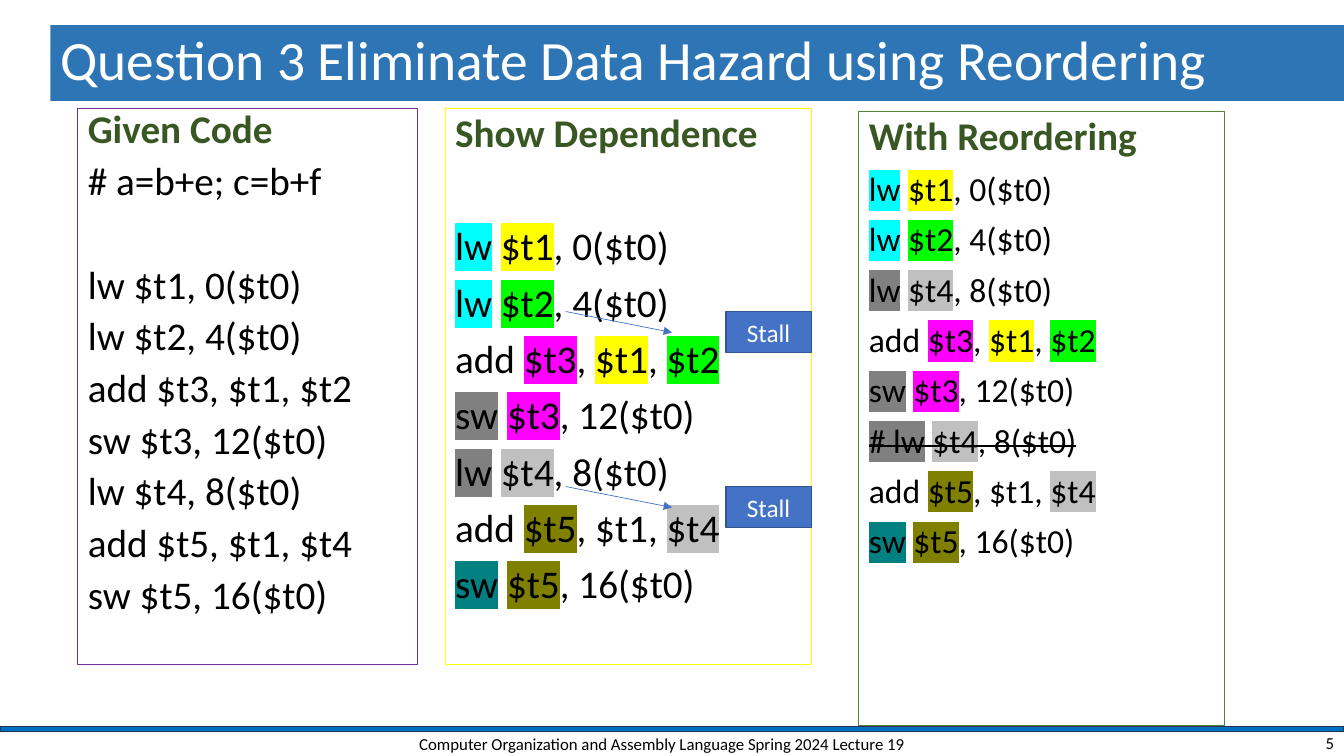
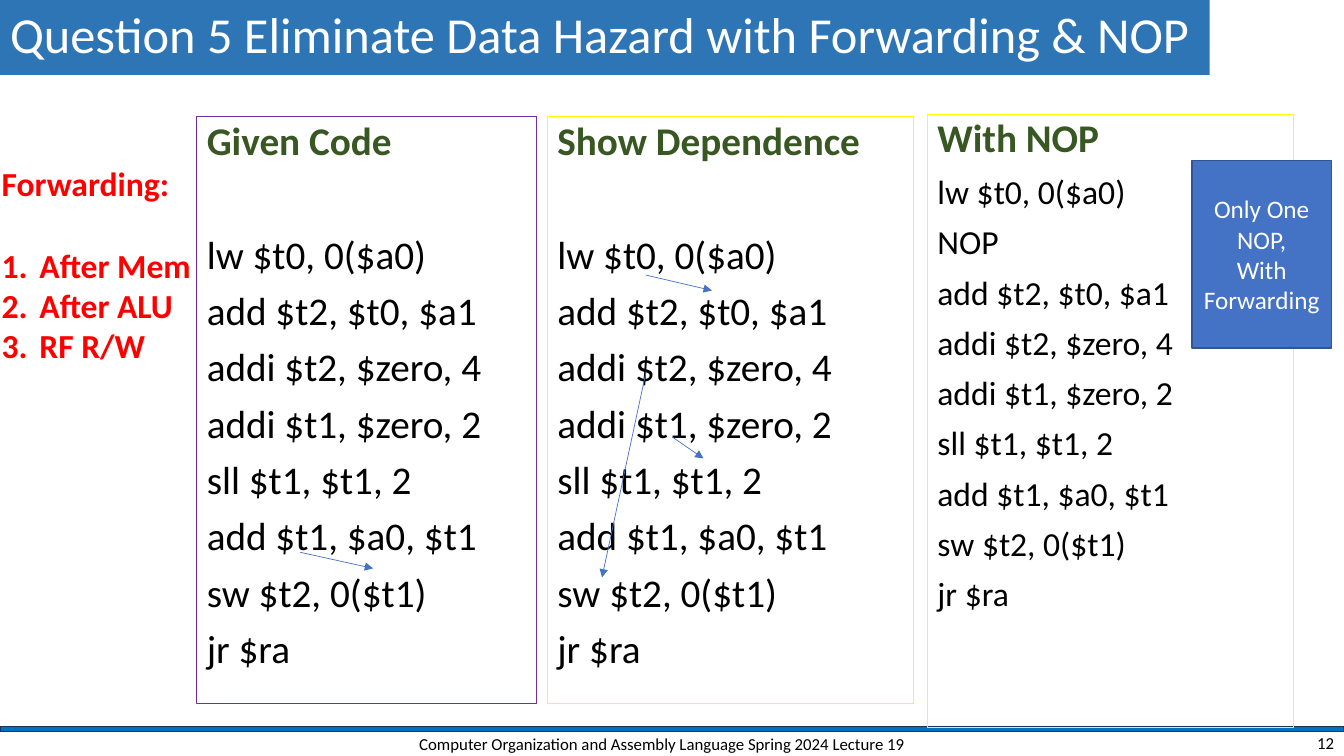
from lxml import etree
from pptx import Presentation
from pptx.dml.color import RGBColor
from pptx.enum.shapes import MSO_CONNECTOR, MSO_SHAPE
from pptx.enum.text import MSO_ANCHOR, MSO_AUTO_SIZE, PP_ALIGN
from pptx.oxml.ns import qn
from pptx.util import Pt

RECTANGLE = MSO_SHAPE.RECTANGLE
STRAIGHT = MSO_CONNECTOR.STRAIGHT
TOP, MIDDLE = MSO_ANCHOR.TOP, MSO_ANCHOR.MIDDLE
LEFT, CENTER, RIGHT = PP_ALIGN.LEFT, PP_ALIGN.CENTER, PP_ALIGN.RIGHT
NO_AUTOFIT = MSO_AUTO_SIZE.NONE

FONT = "Calibri"
WIDTH, HEIGHT = 960, 540
FOOTER = "Computer Organization and Assembly Language Spring 2024 Lecture 19"
COLORS = {
    "title_fill": "2E75B6", "band": "0070C0", "band_line": "1E3256",
    "accent": "4472C4", "accent_line": "325491", "heading": "385723",
    "purple": "7030A0", "panel_green": "548235", "red": "FF0000",
    "black": "000000", "white": "FFFFFF", "yellow": "FFFF00",
    "cyan": "00FFFF", "lime": "00FF00", "magenta": "FF00FF",
    "gray": "808080", "silver": "C0C0C0", "olive": "808000", "teal": "008080",
}

LOAD_T1 = [("lw", "cyan"), " ", ("$t1", "yellow"), ", 0($t0)"]
LOAD_T2 = [("lw", "cyan"), " ", ("$t2", "lime"), ", 4($t0)"]
ADD_T3 = ["add ", ("$t3", "magenta"), ", ", ("$t1", "yellow"), ", ", ("$t2", "lime")]
STORE_T3 = [("sw", "gray"), " ", ("$t3", "magenta"), ", 12($t0)"]
LOAD_T4 = [("lw", "gray"), " ", ("$t4", "silver"), ", 8($t0)"]
MOVED_LOAD = [("# lw", "gray")] + LOAD_T4[1:]
ADD_T5 = ["add ", ("$t5", "olive"), ", $t1, ", ("$t4", "silver")]
STORE_T5 = [("sw", "teal"), " ", ("$t5", "olive"), ", 16($t0)"]

SUM_CODE = [
    "# a=b+e; c=b+f", "lw $t1, 0($t0)", "lw $t2, 4($t0)", "add $t3, $t1, $t2",
    "sw $t3, 12($t0)", "lw $t4, 8($t0)", "add $t5, $t1, $t4", "sw $t5, 16($t0)",
]
ARRAY_CODE = [
    "lw $t0, 0($a0)", "add $t2, $t0, $a1", "addi $t2, $zero, 4", "addi $t1, $zero, 2",
    "sll $t1, $t1, 2", "add $t1, $a0, $t1", "sw $t2, 0($t1)", "jr $ra",
]


def rgb(color):
    return RGBColor.from_string(COLORS[color])


def points(box):
    return [Pt(length) for length in box]


def place(shape, box):
    shape.left, shape.top, shape.width, shape.height = points(box)


def paint(shape, fill=None, line=None, weight=1):
    if fill:
        shape.fill.solid()
        shape.fill.fore_color.rgb = rgb(fill)
    else:
        shape.fill.background()
    if line:
        shape.line.color.rgb = rgb(line)
        shape.line.width = Pt(weight)
    else:
        shape.line.fill.background()


def prepare_frame(shape, anchor):
    frame = shape.text_frame
    frame.word_wrap = True
    frame.auto_size = NO_AUTOFIT
    frame.vertical_anchor = anchor
    return frame


def add_run(paragraph, text, size, color, bold=False, highlight=None, struck=False):
    run = paragraph.add_run()
    run.text = text
    run.font.size = Pt(size)
    run.font.bold = bold
    run.font.color.rgb = rgb(color)
    properties = run._r.get_or_add_rPr()
    if struck:
        properties.set("strike", "sngStrike")
    if highlight:
        marker = etree.SubElement(properties, qn("a:highlight"))
        etree.SubElement(marker, qn("a:srgbClr"), val=COLORS[highlight])
    run.font.name = FONT


def add_paragraph(frame, first, align=LEFT, spacing=1.0, before=0):
    paragraph = frame.paragraphs[0] if first else frame.add_paragraph()
    paragraph.alignment = align
    paragraph.line_spacing = spacing
    paragraph.space_before = Pt(0 if first else before)
    paragraph.space_after = Pt(0)
    return paragraph


def add_rectangle(slide, box, fill=None, line=None, weight=1):
    rectangle = slide.shapes.add_shape(RECTANGLE, *points(box))
    rectangle.shadow.inherit = False
    paint(rectangle, fill, line, weight)
    return rectangle


def add_label(slide, box, text, align):
    label = slide.shapes.add_textbox(*points(box))
    paragraph = add_paragraph(prepare_frame(label, MIDDLE), True, align)
    add_run(paragraph, text, 12, "black")


def add_callout(slide, box, texts):
    callout = add_rectangle(slide, box, "accent", "accent_line")
    frame = prepare_frame(callout, MIDDLE)
    for index, text in enumerate(texts):
        add_run(add_paragraph(frame, index == 0, CENTER), text, 18, "white")


def add_arrow(slide, panel, start, end):
    left, top = panel[:2]
    ends = points((left + start[0], top + start[1], left + end[0], top + end[1]))
    arrow = slide.shapes.add_connector(STRAIGHT, *ends)
    arrow.line.color.rgb = rgb("accent")
    arrow.line.width = Pt(0.5)
    etree.SubElement(arrow.line._get_or_add_ln(), qn("a:tailEnd"), type="triangle")
    etree.SubElement(arrow._element.spPr, qn("a:effectLst"))


def fill_code(shape, heading, code, size=28, spacing=0.9, gap_line=None):
    frame = prepare_frame(shape, TOP)
    add_run(add_paragraph(frame, True, spacing=spacing), heading, 28, "heading", True)
    blank_line = 28 * 1.22 * spacing + 10
    for index, line in enumerate(code):
        before = 10 + (blank_line if index == gap_line else 0)
        paragraph = add_paragraph(frame, False, spacing=spacing, before=before)
        for part in [line] if isinstance(line, str) else line:
            text, highlight = (part, None) if isinstance(part, str) else part
            add_run(paragraph, text, size, "black", False, highlight, line is MOVED_LOAD)


def add_code_panel(slide, box, border, heading, code, **layout):
    panel = add_rectangle(slide, box, line=border, weight=0.75)
    fill_code(panel, heading, code, **layout)


def fill_given_code(slide, box, code, **layout):
    given = slide.placeholders[1]
    place(given, box)
    paint(given, line="purple", weight=0.75)
    fill_code(given, "Given Code", code, **layout)
    for paragraph in given.text_frame.paragraphs:
        properties = paragraph._p.get_or_add_pPr()
        properties.set("marL", "0")
        properties.set("indent", "0")
        etree.SubElement(properties, qn("a:buNone"))


def add_lecture_slide(prs, title_text, title_box, title_size, number):
    slide = prs.slides.add_slide(prs.slide_layouts[1])
    add_rectangle(slide, (0, 519, WIDTH, 3.6), "band", "band_line")
    title = slide.shapes.title
    place(title, title_box)
    paint(title, "title_fill")
    paragraph = add_paragraph(prepare_frame(title, MIDDLE), True, spacing=0.9)
    add_run(paragraph, title_text, title_size, "white")
    add_label(slide, (282, 521.5, 382, 20), FOOTER, CENTER)
    add_label(slide, (744, 521.5, 216, 18), number, RIGHT)
    return slide


def add_forwarding_list(slide, box):
    forwarding = slide.shapes.add_textbox(*points(box))
    frame = prepare_frame(forwarding, TOP)
    frame.margin_left, frame.margin_right = Pt(1.2), Pt(0)
    add_run(add_paragraph(frame, True), "Forwarding:", 24, "red", True)
    for index, stage in enumerate(["After Mem", "After ALU", "RF R/W"]):
        paragraph = add_paragraph(frame, False, before=0 if index else 29.3)
        properties = paragraph._p.get_or_add_pPr()
        properties.set("marL", str(Pt(27)))
        properties.set("indent", str(Pt(-27)))
        etree.SubElement(properties, qn("a:buFont"), typeface="+mj-lt")
        etree.SubElement(properties, qn("a:buAutoNum"), type="arabicPeriod")
        add_run(paragraph, stage, 24, "red", True)


def build_reordering_slide(prs):
    slide = add_lecture_slide(
        prs, "Question 3 Eliminate Data Hazard using Reordering",
        (36, 18, 924, 54), 39.6, "5")
    dependence = (318, 77.5, 261.5, 397.5)
    fill_given_code(slide, (55.5, 77.5, 242.5, 397.5), SUM_CODE, spacing=0.8, gap_line=1)
    add_code_panel(
        slide, dependence, "yellow", "Show Dependence",
        [LOAD_T1, LOAD_T2, ADD_T3, STORE_T3, LOAD_T4, ADD_T5, STORE_T5], gap_line=0)
    add_code_panel(
        slide, (613.5, 79.5, 261.5, 438.5), "panel_green", "With Reordering",
        [LOAD_T1, LOAD_T2, LOAD_T4, ADD_T3, STORE_T3, MOVED_LOAD, ADD_T5, STORE_T5], size=24)
    for stall_top in (145, 270):
        stall = (dependence[0] + 200.5, dependence[1] + stall_top, 61, 29.5)
        add_callout(slide, stall, ["Stall"])
        add_arrow(slide, dependence, (86, stall_top), (162, stall_top + 15))


def build_forwarding_slide(prs):
    slide = add_lecture_slide(
        prs, "Question 5 Eliminate Data Hazard with Forwarding & NOP",
        (0, -0.5, 864, 54), 36, "12")
    given = (140.5, 83.5, 242.5, 419)
    dependence = (391, 83.5, 261.5, 419)
    with_nop = (662.5, 81.5, 261.5, 438.5)
    fill_given_code(slide, given, ARRAY_CODE, gap_line=0)
    add_code_panel(slide, dependence, "yellow", "Show Dependence", ARRAY_CODE, gap_line=0)
    add_code_panel(
        slide, with_nop, "yellow", "With NOP",
        ARRAY_CODE[:1] + ["NOP"] + ARRAY_CODE[1:], size=24)
    add_forwarding_list(slide, (0, 113, 139, 152.5))
    for panel, start, end in [
        (dependence, (70.5, 113), (117.5, 124)),
        (dependence, (89, 228.5), (111.5, 244)),
        (given, (74, 311), (126, 322.5)),
        (dependence, (70.5, 182), (39, 329)),
    ]:
        add_arrow(slide, panel, start, end)
    note = (with_nop[0] + 189, with_nop[1] + 33, 99.5, 134)
    add_callout(slide, note, ["Only One NOP,", "With Forwarding"])


def main():
    prs = Presentation()
    prs.slide_width, prs.slide_height = Pt(WIDTH), Pt(HEIGHT)
    build_reordering_slide(prs)
    build_forwarding_slide(prs)
    prs.save("out.pptx")


if __name__ == "__main__":
    main()
